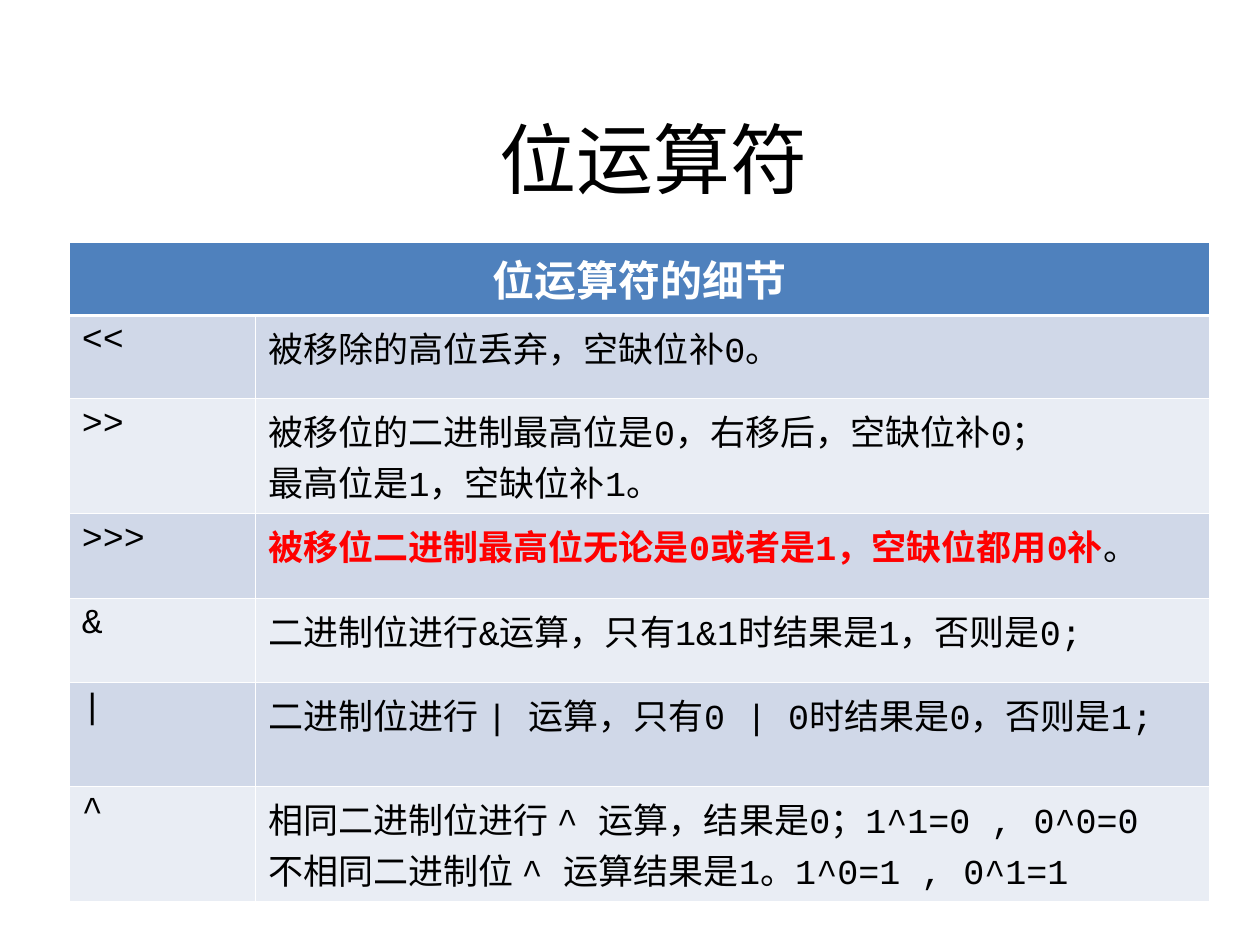
from typing import NamedTuple

from lxml.etree import SubElement
from pptx import Presentation
from pptx.dml.color import RGBColor
from pptx.enum.text import MSO_ANCHOR, PP_ALIGN
from pptx.oxml.ns import qn
from pptx.util import Inches, Pt

FONT = "Courier New"
BLACK, WHITE, RED = "000000", "FFFFFF", "FF0000"
HEADER_FILL = "4F81BD"
BAND_FILLS = ("D0D8E8", "E9EDF4")
THIN, THICK = 0.45, 1.47


class Operator(NamedTuple):
    symbol: str
    lines: tuple[str, ...]
    height: float
    emphasis: bool = False


OPERATORS = (
    Operator("<<", ("被移除的高位丢弃，空缺位补0。",), 0.66),
    Operator(">>", ("被移位的二进制最高位是0，右移后，空缺位补0；",
                    "最高位是1，空缺位补1。"), 0.77),
    Operator(">>>", ("被移位二进制最高位无论是0或者是1，空缺位都用0补",), 0.67, True),
    Operator("&", ("二进制位进行&运算，只有1&1时结果是1，否则是0;",), 0.67),
    Operator("|", ("二进制位进行 | 运算，只有0 | 0时结果是0，否则是1;",), 0.68),
    Operator("^", ("相同二进制位进行 ^ 运算，结果是0；1^1=0 , 0^0=0",
                   "不相同二进制位 ^ 运算结果是1。1^0=1 , 0^1=1"), 0.77),
)
HEADER_HEIGHT = 0.5
COLUMN_WIDTHS = (1.48, 7.57)


def format_run(run, size: float, color: str, bold: bool = False) -> None:
    run.font.name = FONT
    run.font.size = Pt(size)
    run.font.bold = bold
    run.font.color.rgb = RGBColor.from_string(color)


def set_borders(cell, top: float, bottom: float) -> None:
    """Draw white borders; must run before the cell is filled."""
    properties = cell._tc.get_or_add_tcPr()
    widths = {"a:lnL": THIN, "a:lnR": THIN, "a:lnT": top, "a:lnB": bottom}
    for tag, width in widths.items():
        line = SubElement(properties, qn(tag), w=str(Pt(width)))
        fill = SubElement(line, qn("a:solidFill"))
        SubElement(fill, qn("a:srgbClr"), val=WHITE)


def format_cell(cell, text: str, fill: str, size: float, color: str,
                bold: bool = False, top: float = THIN, bottom: float = THIN) -> None:
    set_borders(cell, top, bottom)
    cell.fill.solid()
    cell.fill.fore_color.rgb = RGBColor.from_string(fill)
    cell.text_frame.text = text
    for paragraph in cell.text_frame.paragraphs:
        for run in paragraph.runs:
            format_run(run, size, color, bold)


def add_title(slide) -> None:
    title = slide.shapes.title
    title.left, title.top = Inches(0.69), Inches(0.78)
    title.width, title.height = Inches(9), Inches(0.94)
    title.text_frame.text = "位运算符"
    title.text_frame.vertical_anchor = MSO_ANCHOR.MIDDLE
    paragraph = title.text_frame.paragraphs[0]
    paragraph.alignment = PP_ALIGN.CENTER
    format_run(paragraph.runs[0], 44, BLACK)


def add_operator_table(slide) -> None:
    heights = [HEADER_HEIGHT] + [operator.height for operator in OPERATORS]
    table = slide.shapes.add_table(
        len(heights), len(COLUMN_WIDTHS), Inches(0.55), Inches(1.92),
        Inches(sum(COLUMN_WIDTHS)), Inches(sum(heights))).table
    for column, width in zip(table.columns, COLUMN_WIDTHS):
        column.width = Inches(width)
    for row, height in zip(table.rows, heights):
        row.height = Inches(height)

    header = table.cell(0, 0)
    header.merge(table.cell(0, 1))
    format_cell(header, "位运算符的细节", HEADER_FILL, 24, WHITE, True, bottom=THICK)
    header.text_frame.paragraphs[0].alignment = PP_ALIGN.CENTER

    for index, operator in enumerate(OPERATORS):
        fill = BAND_FILLS[index % 2]
        top = THICK if index == 0 else THIN
        symbol, detail = table.cell(index + 1, 0), table.cell(index + 1, 1)
        format_cell(symbol, operator.symbol, fill, 20, BLACK, top=top)
        format_cell(detail, "\n".join(operator.lines), fill, 20,
                    RED if operator.emphasis else BLACK, operator.emphasis, top=top)
        if operator.emphasis:
            full_stop = detail.text_frame.paragraphs[0].add_run()
            full_stop.text = "。"
            format_run(full_stop, 20, BLACK)


def main() -> None:
    presentation = Presentation()
    presentation.slide_width, presentation.slide_height = Inches(10), Inches(7.5)
    slide = presentation.slides.add_slide(presentation.slide_layouts[5])
    add_title(slide)
    add_operator_table(slide)
    presentation.save("out.pptx")


if __name__ == "__main__":
    main()
